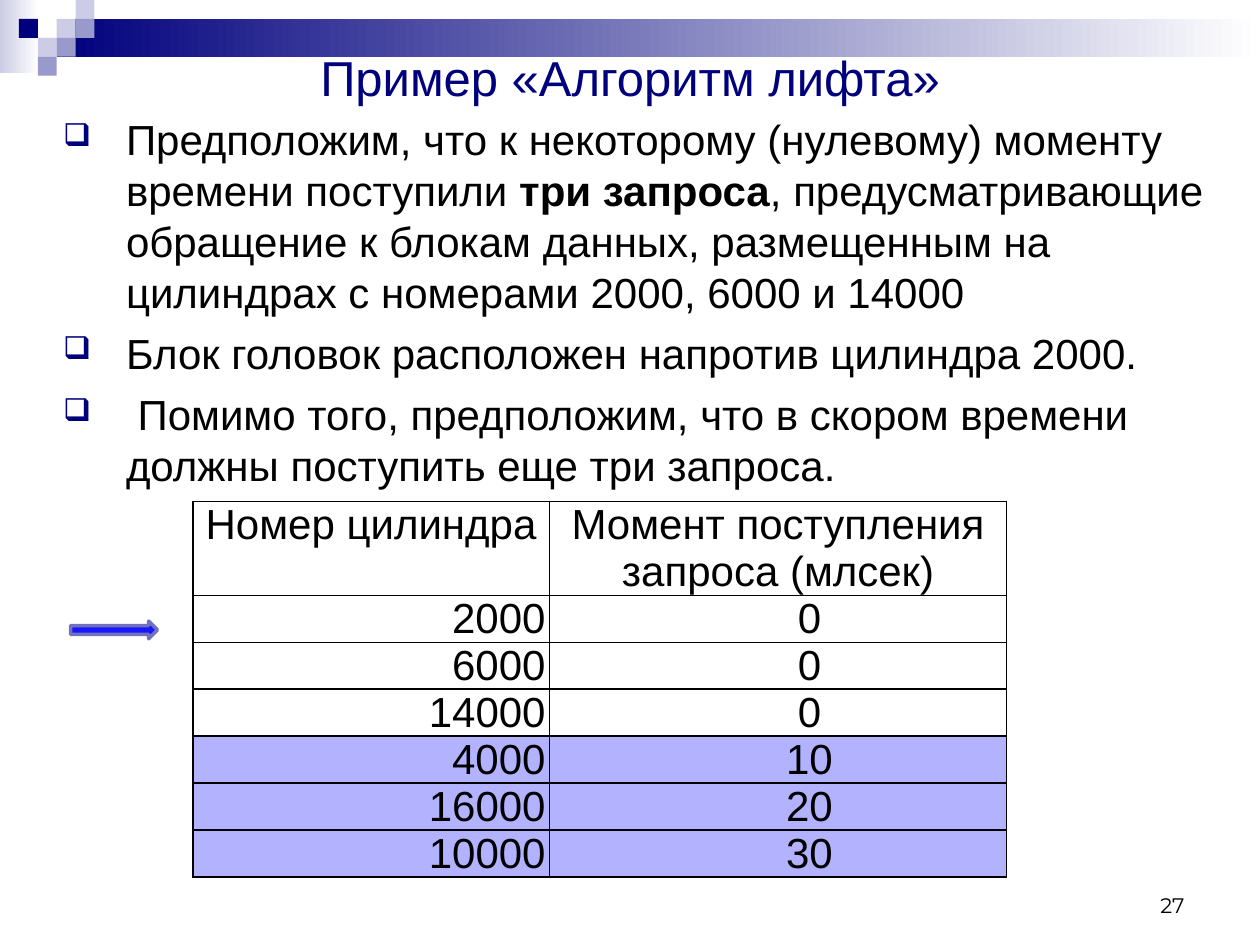
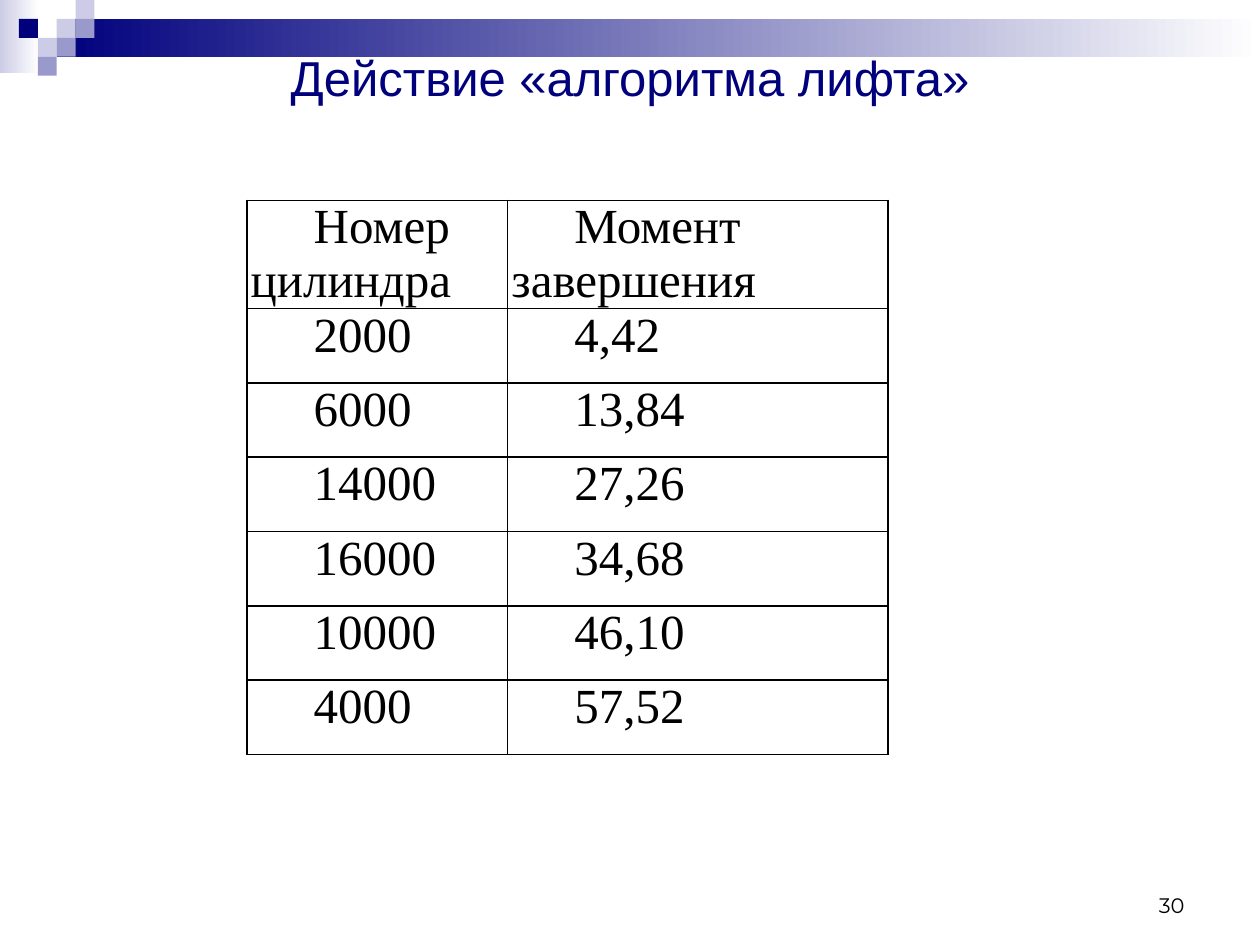
from lxml import etree
from pptx import Presentation
from pptx.dml.color import RGBColor
from pptx.enum.shapes import MSO_SHAPE
from pptx.enum.text import MSO_ANCHOR, PP_ALIGN
from pptx.oxml.ns import qn
from pptx.util import Inches, Pt

RECT, ARROW = MSO_SHAPE.RECTANGLE, MSO_SHAPE.RIGHT_ARROW
LEFT, CENTER, RIGHT, JUSTIFY = (PP_ALIGN.LEFT, PP_ALIGN.CENTER,
                                PP_ALIGN.RIGHT, PP_ALIGN.JUSTIFY)
TOP, BOTTOM = MSO_ANCHOR.TOP, MSO_ANCHOR.BOTTOM

COLORS = {"navy": "00007D", "violet": "9999CC", "pale": "CCCCE6",
          "white": "FFFFFF", "black": "000000", "new_request": "B2B2FF",
          "arrow": "1818FF", "arrow_edge": "7171BD"}
W, H = Inches(10), Inches(7.5)
SQUARE = Inches(0.15)
INDENT = Inches(0.5)

# Corner mosaic: column, row, colour
MOSAIC = [(3, 1, "pale"), (4, 0, "pale"), (4, 1, "violet"), (2, 2, "pale"),
          (1, 1, "navy"), (3, 2, "violet"), (2, 3, "violet")]


def rgb(name):
    return RGBColor.from_string(COLORS[name])


def share(x, y, w, h):
    """Percentages of the slide's width and height as lengths."""
    return [round(v * side / 100) for v, side in zip((x, y, w, h), (W, H, W, H))]


def add_block(s, box, color, fade=False, shape=RECT):
    sp = s.shapes.add_shape(shape, *box)
    sp.shadow.inherit = False
    sp.line.fill.background()
    if fade:
        sp.fill.gradient()
        sp.fill.gradient_angle = 0
        for stop, name in zip(sp.fill.gradient_stops, (color, "white")):
            stop.color.rgb = rgb(name)
    else:
        sp.fill.solid()
        sp.fill.fore_color.rgb = rgb(color)
    return sp


def style(p, size, font, color="black", align=LEFT):
    p.alignment = align
    for r in p.runs:
        r.font.size, r.font.name = Pt(size), font
        r.font.color.rgb = rgb(color)


def set_indent(p, left, first):
    pPr = p._p.get_or_add_pPr()
    pPr.set("marL", str(left))
    pPr.set("indent", str(first))
    return pPr


def add_text(s, box, text, size, font, color, align, anchor=TOP, inset_top=0.05):
    tf = s.shapes.add_textbox(*box).text_frame
    tf.word_wrap = True
    tf.vertical_anchor = anchor
    tf.margin_top = Inches(inset_top)
    tf.text = text
    style(tf.paragraphs[0], size, font, color, align)


def add_bullets(s, box, items):
    """Each item is a list of text pieces; every second piece is bold."""
    tf = s.shapes.add_textbox(*box).text_frame
    tf.word_wrap = True
    tf.margin_left = tf.margin_right = tf.margin_top = tf.margin_bottom = Inches(0.04)
    for i, pieces in enumerate(items):
        p = tf.add_paragraph() if i else tf.paragraphs[0]
        p.line_spacing = Pt(29)
        if i:
            p.space_before = Pt(6)
        pPr = set_indent(p, INDENT, -INDENT)
        bu_color = etree.SubElement(pPr, qn("a:buClr"))
        etree.SubElement(bu_color, qn("a:srgbClr"), val=COLORS["navy"])
        etree.SubElement(pPr, qn("a:buSzPct"), val="75000")
        etree.SubElement(pPr, qn("a:buChar"), char="❑")
        for j, piece in enumerate(pieces):
            r = p.add_run()
            r.text = piece
            r.font.bold = j % 2 == 1
        style(p, 24, "Arial")


def add_borders(cell):
    tcPr = cell._tc.get_or_add_tcPr()
    for i, side in enumerate(("lnL", "lnR", "lnT", "lnB")):
        ln = etree.Element(qn(f"a:{side}"), w=str(Pt(1)))
        fill = etree.SubElement(ln, qn("a:solidFill"))
        etree.SubElement(fill, qn("a:srgbClr"), val=COLORS["black"])
        tcPr.insert(i, ln)


def add_grid(s, box, rows, widths, heights, size, font, leading, aligns,
             header_align, indents, header_indent, marked=()):
    """Table with a header row; heights are (header row, body row)."""
    table = s.shapes.add_table(len(rows), len(widths), *box).table
    table.first_row = table.horz_banding = False
    for column, width in zip(table.columns, widths):
        column.width = Inches(width)
    for i, values in enumerate(rows):
        table.rows[i].height = Inches(heights[min(i, 1)])
        for j, value in enumerate(values):
            cell = table.cell(i, j)
            cell.margin_left = cell.margin_right = Inches(0.03)
            cell.margin_top = cell.margin_bottom = 0
            cell.fill.solid()
            cell.fill.fore_color.rgb = rgb("new_request" if i in marked else "white")
            add_borders(cell)
            cell.text = value
            p = cell.text_frame.paragraphs[0]
            p.line_spacing = Pt(leading)
            set_indent(p, 0, indents[j] if i else header_indent)
            style(p, size, font, align=aligns[j] if i else header_align)


def add_base(prs, title, number):
    """Blank slide with the band, mosaic, page number and title."""
    s = prs.slides.add_slide(prs.slide_layouts[6])
    add_block(s, share(0, 0, 3.1, 7.73), "pale", fade=True)
    add_block(s, (3 * SQUARE, SQUARE, W - 3 * SQUARE, 2 * SQUARE), "navy", fade=True)
    for col, row, color in MOSAIC:
        add_block(s, (col * SQUARE, row * SQUARE, SQUARE, SQUARE), color)
    add_text(s, share(71.7, 91.07, 23.3, 6.67), number, 12, "Montserrat",
             "black", RIGHT, BOTTOM)
    add_text(s, share(2.7, 3.73, 94.6, 6.67), title, 28, "Arial", "navy",
             CENTER, inset_top=0.1)
    return s


def build_example(prs):
    s = add_base(prs, "Пример «Алгоритм лифта»", "27")
    add_bullets(s, share(4.6, 11.47, 91.5, 85.2), [
        ["Предположим, что к некоторому (нулевому) моменту времени поступили ",
         "три запроса",
         ", предусматривающие обращение к блокам данных, размещенным на "
         "цилиндрах с номерами 2000, 6000 и 14000"],
        ["Блок головок расположен напротив цилиндра 2000."],
        [" Помимо того, предположим, что в скором времени должны поступить "
         "еще три запроса."]])
    requests = [("Номер цилиндра", "Момент поступления запроса (млсек)"),
                ("2000", "0"), ("6000", "0"), ("14000", "0"),
                ("4000", "10"), ("16000", "20"), ("10000", "30")]
    add_grid(s, share(15.3, 53.07, 64.6, 35.33), requests, (2.83, 3.63),
             (0.67, 0.33), 24, "Arial", 26.8, aligns=(RIGHT, CENTER),
             header_align=CENTER, indents=(0, INDENT), header_indent=0,
             marked=(4, 5, 6))
    # Current head position
    arrow = add_block(s, share(5.6, 65.73, 6.9, 1.87), "arrow", shape=ARROW)
    arrow.line.color.rgb = rgb("arrow_edge")
    arrow.line.width = Pt(2)


def build_result(prs):
    s = add_base(prs, "Действие «алгоритма лифта»", "30")
    finished = [("Номер цилиндра", "Момент завершения"),
                ("2000", "4,42"), ("6000", "13,84"), ("14000", "27,26"),
                ("16000", "34,68"), ("10000", "46,10"), ("4000", "57,52")]
    add_grid(s, share(19.6, 21.2, 50.9, 56.27), finished, (2.07, 3.02),
             (0.68, 0.59), 28, "Times New Roman", 30.9,
             aligns=(JUSTIFY, JUSTIFY), header_align=JUSTIFY,
             indents=(INDENT, INDENT), header_indent=INDENT)


def main():
    prs = Presentation()
    prs.slide_width, prs.slide_height = W, H
    build_example(prs)
    build_result(prs)
    prs.save("out.pptx")


if __name__ == "__main__":
    main()
